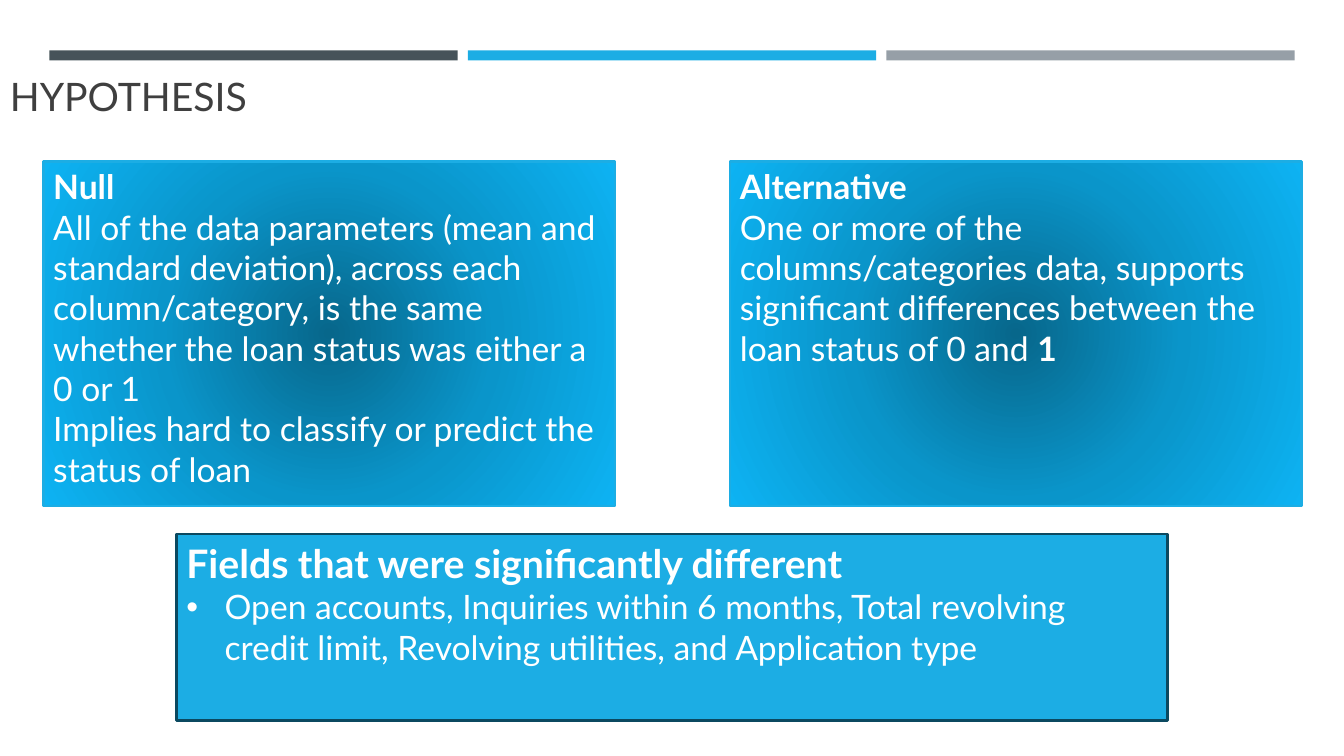
from lxml.etree import SubElement
from pptx import Presentation
from pptx.dml.color import RGBColor
from pptx.enum.shapes import MSO_SHAPE
from pptx.enum.text import MSO_ANCHOR, PP_ALIGN
from pptx.oxml import parse_xml
from pptx.oxml.ns import nsdecls, qn
from pptx.util import Inches, Pt

SLATE = RGBColor(0x46, 0x53, 0x59)
SKY = RGBColor(0x1C, 0xAD, 0xE4)
GREY = RGBColor(0x96, 0x9F, 0xA7)
CHARCOAL = RGBColor(0x3F, 0x3F, 0x3F)
NAVY = RGBColor(0x0B, 0x49, 0x60)
WHITE = RGBColor(0xFF, 0xFF, 0xFF)
GLOW_STOPS = [
    (0, RGBColor(0x07, 0x67, 0x8B)),
    (50, RGBColor(0x0A, 0x95, 0xCA)),
    (100, RGBColor(0x0D, 0xB3, 0xF3)),
]


class SlideBuilder:
    font_name = "Lato"
    heading_size = 28
    body_size = 24
    outline_width = Pt(1.75)

    def __init__(self, deck):
        self.slide = deck.slides.add_slide(deck.slide_layouts[6])

    def rectangle(self, left, top, width, height, fill, outline=None):
        box = self.slide.shapes.add_shape(
            MSO_SHAPE.RECTANGLE, Inches(left), Inches(top), Inches(width), Inches(height)
        )
        box.shadow.inherit = False
        box.fill.solid()
        box.fill.fore_color.rgb = fill
        if outline is None:
            box.line.fill.background()
        else:
            box.line.color.rgb = outline
            box.line.width = self.outline_width
        box.text_frame.word_wrap = True
        box.text_frame.vertical_anchor = MSO_ANCHOR.TOP
        return box

    def glow(self, box):
        stops = "".join(
            f'<a:gs pos="{position * 1000}"><a:srgbClr val="{color}"/></a:gs>'
            for position, color in GLOW_STOPS
        )
        gradient = parse_xml(
            f'<a:gradFill {nsdecls("a")} rotWithShape="1"><a:gsLst>{stops}</a:gsLst>'
            '<a:path path="circle">'
            '<a:fillToRect l="50000" t="50000" r="50000" b="50000"/>'
            "</a:path></a:gradFill>"
        )
        properties = box._element.spPr
        properties.replace(properties.find(qn("a:solidFill")), gradient)

    def style(self, span, size, color=WHITE, bold=False):
        span.font.name = self.font_name
        span.font.size = Pt(size)
        span.font.color.rgb = color
        span.font.bold = bold

    def title(self, text):
        box = self.slide.shapes.add_textbox(
            Inches(0), Inches(0.65), Inches(12.06), Inches(0.58)
        )
        frame = box.text_frame
        frame.word_wrap = True
        frame.vertical_anchor = MSO_ANCHOR.BOTTOM
        frame.text = text
        self.style(frame.paragraphs[0].runs[0], self.heading_size, CHARCOAL)

    def fill_text(self, box, heading, heading_size, paragraphs):
        frame = box.text_frame
        frame.text = "\n".join([heading, *paragraphs])
        for index, para in enumerate(frame.paragraphs):
            para.alignment = PP_ALIGN.LEFT
            size = self.body_size if index else heading_size
            self.style(para.runs[0], size, bold=index == 0)
        return frame.paragraphs[-1]

    def hypothesis(self, left, heading, paragraphs):
        box = self.rectangle(left, 1.6, 5.67, 3.42, SKY, SKY)
        self.glow(box)
        return self.fill_text(box, heading, self.body_size, paragraphs)

    def bullet(self, para):
        properties = para._p.get_or_add_pPr()
        properties.set("marL", str(Inches(0.38)))
        properties.set("indent", str(Inches(-0.38)))
        color = SubElement(properties, qn("a:buClr"))
        SubElement(color, qn("a:srgbClr")).set("val", str(WHITE))
        SubElement(properties, qn("a:buFont")).set("typeface", "Arial")
        SubElement(properties, qn("a:buChar")).set("char", "•")


def main():
    deck = Presentation()
    deck.slide_width = Inches(13.33)
    deck.slide_height = Inches(7.5)
    page = SlideBuilder(deck)

    for index, color in enumerate([SLATE, SKY, GREY]):
        page.rectangle(0.49 + index * 4.15, 0.5, 4.05, 0.1, color)
    page.title("HYPOTHESIS")

    page.hypothesis(0.43, "Null", [
        "All of the data parameters (mean and standard deviation), across each "
        "column/category, is the same whether the loan status was either a 0 or 1",
        "Implies hard to classify or predict the status of loan",
    ])
    alternative = page.hypothesis(7.24, "Alternative", [
        "One or more of the columns/categories data, supports significant "
        "differences between the loan status of 0 and ",
    ])
    span = alternative.add_run()
    span.text = "1"
    page.style(span, page.body_size, bold=True)

    fields = page.rectangle(1.75, 5.3, 9.83, 1.85, SKY, NAVY)
    page.bullet(page.fill_text(
        fields, "Fields that were significantly different", page.heading_size, [
            "Open accounts, Inquiries within 6 months, Total revolving credit limit, "
            "Revolving utilities, and Application type",
        ]
    ))
    deck.save("out.pptx")


if __name__ == "__main__":
    main()
